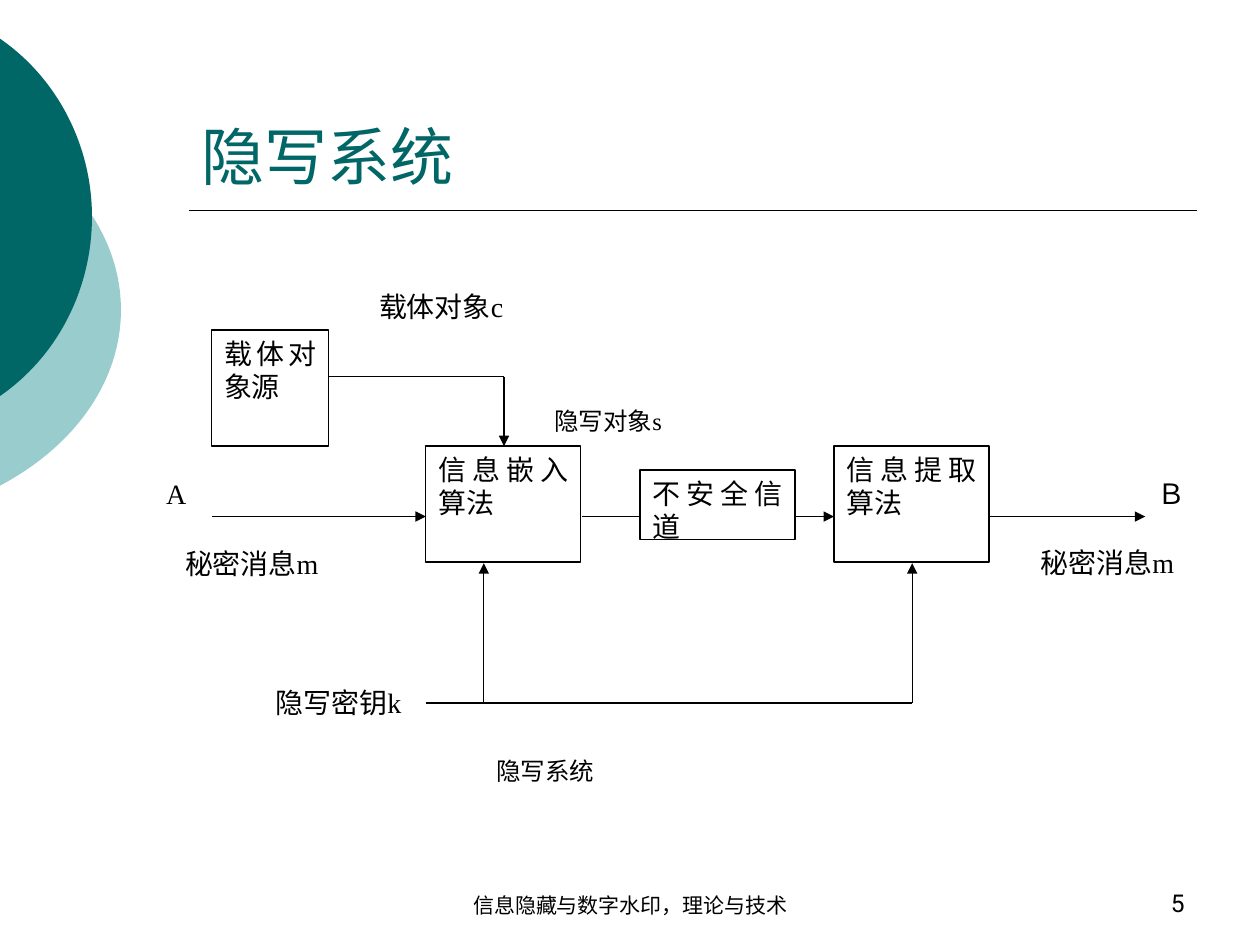
"""Build the steganography system diagram slide."""
from lxml.etree import SubElement
from pptx import Presentation
from pptx.dml.color import RGBColor
from pptx.enum.shapes import MSO_CONNECTOR as Connector, MSO_SHAPE as Shape
from pptx.enum.text import MSO_ANCHOR as Anchor, PP_ALIGN as Align
from pptx.oxml.ns import qn
from pptx.util import Inches, Pt

TEAL = RGBColor(0x00, 0x66, 0x66)
PALE_TEAL = RGBColor(0x99, 0xCC, 0xCC)
BLACK = RGBColor(0, 0, 0)
WHITE = RGBColor(0xFF, 0xFF, 0xFF)
SERIF = "Times New Roman"

DISC_EDGE = -0.01
DISCS = [
    ((-3.54, 0.75, 4.5, 3.42), (1.06, 1.38, 1.9, 2.46, 3.02, 3.54, 3.86), 0.6, 0.96, PALE_TEAL),
    ((-2.65, 0, 3.38, 3.45), (0.3, 0.62, 1.16, 1.72, 2.29, 2.83, 3.15), 0.46, 0.73, TEAL),
]
FRAME_TEXTS = [
    ("5", 7.17, 6.83, 2.33, 0.5, 14, "Roboto", BLACK, Align.RIGHT),
    ("隐写系统", 1.5, 0.33, 8, 1.25, 36, "Arial", TEAL, Align.LEFT),
    ("信息隐藏与数字水印，理论与技术", 3.42, 6.83, 3.17, 0.5, 12, "DejaVu Sans", BLACK, Align.CENTER),
]
TITLE_RULE = (1.5, 1.67, 9.5, 1.67)
FLOW_Y, KEY_Y, COVER_Y = 4.1, 5.58, 2.99
BOX_TOP, BOX_BOTTOM = 3.54, 4.47
LINES = [
    (2.61, COVER_Y, 4, COVER_Y, False),
    (4, COVER_Y, 4, BOX_TOP, True),
    (1.68, FLOW_Y, 3.38, FLOW_Y, True),
    (4.62, FLOW_Y, 6.62, FLOW_Y, True),
    (7.86, FLOW_Y, 9.09, FLOW_Y, True),
    (3.38, KEY_Y, 7.24, KEY_Y, False),
    (3.84, KEY_Y, 3.84, BOX_BOTTOM, True),
    (7.24, KEY_Y, 7.24, BOX_BOTTOM, True),
]
BOXES = [
    ("载体对象源", 1.68, 2.62, 0.93, 0.92),
    ("信息嵌入算法", 3.38, BOX_TOP, 1.23, 0.92),
    ("不安全信道", 5.08, 3.73, 1.23, 0.55),
    ("信息提取算法", 6.62, BOX_TOP, 1.23, 0.92),
]
LABELS = [
    ("载体对象c", 2.91, 2.25, 1.25, 16),
    ("隐写对象s", 4.3, 3.17, 1.24, 14),
    ("A", 1.22, 3.73, 0.46, 16),
    ("Ｂ", 9.09, 3.73, 0.46, 16),
    ("秘密消息m", 1.37, 4.29, 1.39, 16),
    ("秘密消息m", 8.16, 4.28, 1.39, 16),
    ("隐写密钥k", 2.09, 5.39, 1.45, 16),
    ("隐写系统", 3.84, 5.95, 2.78, 14),
]
LABEL_HEIGHT = 0.55


def write(shape, text, size, font=SERIF, color=BLACK, align=Align.JUSTIFY, anchor=Anchor.TOP):
    frame = shape.text_frame
    frame.word_wrap = True
    frame.vertical_anchor = anchor
    frame.text = text
    para = frame.paragraphs[0]
    para.alignment = align
    span = para.runs[0]
    span.font.size = Pt(size)
    span.font.name = font
    span.font.color.rgb = color


def add_disc(page, place, heights, shoulder, tip, color):
    left, top, width, height = map(Inches, place)
    across = (DISC_EDGE, shoulder, tip, tip, tip, shoulder, DISC_EDGE)
    points = [(Inches(x), Inches(y)) for x, y in zip(across, heights)]
    builder = page.shapes.build_freeform(*points[0])
    builder.add_line_segments([points[3], points[6]], close=True)
    disc = builder.convert_to_shape()
    disc.left, disc.top, disc.width, disc.height = left, top, width, height
    outline = next(disc._element.iter(qn("a:path")))
    outline.clear()
    outline.set("w", str(width))
    outline.set("h", str(height))
    steps = [("moveTo", points[:1]), ("cubicBezTo", points[1:4]), ("cubicBezTo", points[4:]), ("close", [])]
    for tag, stops in steps:
        step = SubElement(outline, qn(f"a:{tag}"))
        for x, y in stops:
            SubElement(step, qn("a:pt"), x=str(x - left), y=str(y - top))
    disc.shadow.inherit = False
    disc.fill.solid()
    disc.fill.fore_color.rgb = color
    disc.line.fill.background()


def add_line(page, x1, y1, x2, y2, arrow=False, weight=0.75):
    ends = [Inches(value) for value in (x1, y1, x2, y2)]
    line = page.shapes.add_connector(Connector.STRAIGHT, *ends)
    line.line.color.rgb = BLACK
    line.line.width = Pt(weight)
    if arrow:
        SubElement(line.line._get_or_add_ln(), qn("a:tailEnd"), type="triangle")
    SubElement(line._element.spPr, qn("a:effectLst"))


def add_box(page, text, *place):
    box = page.shapes.add_shape(Shape.RECTANGLE, *map(Inches, place))
    box.shadow.inherit = False
    box.fill.solid()
    box.fill.fore_color.rgb = WHITE
    box.line.color.rgb = BLACK
    box.line.width = Pt(0.75)
    write(box, text, 16)


def main():
    deck = Presentation()
    deck.slide_width, deck.slide_height = Inches(10), Inches(7.5)
    page = deck.slides.add_slide(deck.slide_layouts[6])
    for disc in DISCS:
        add_disc(page, *disc)
    add_line(page, *TITLE_RULE, weight=1)
    for text, left, top, width, height, *style in FRAME_TEXTS:
        box = page.shapes.add_textbox(*map(Inches, (left, top, width, height)))
        write(box, text, *style, anchor=Anchor.BOTTOM)
    for line in LINES:
        add_line(page, *line)
    for box in BOXES:
        add_box(page, *box)
    for text, left, top, width, size in LABELS:
        label = page.shapes.add_textbox(*map(Inches, (left, top, width, LABEL_HEIGHT)))
        write(label, text, size)
    deck.save("out.pptx")


if __name__ == "__main__":
    main()
